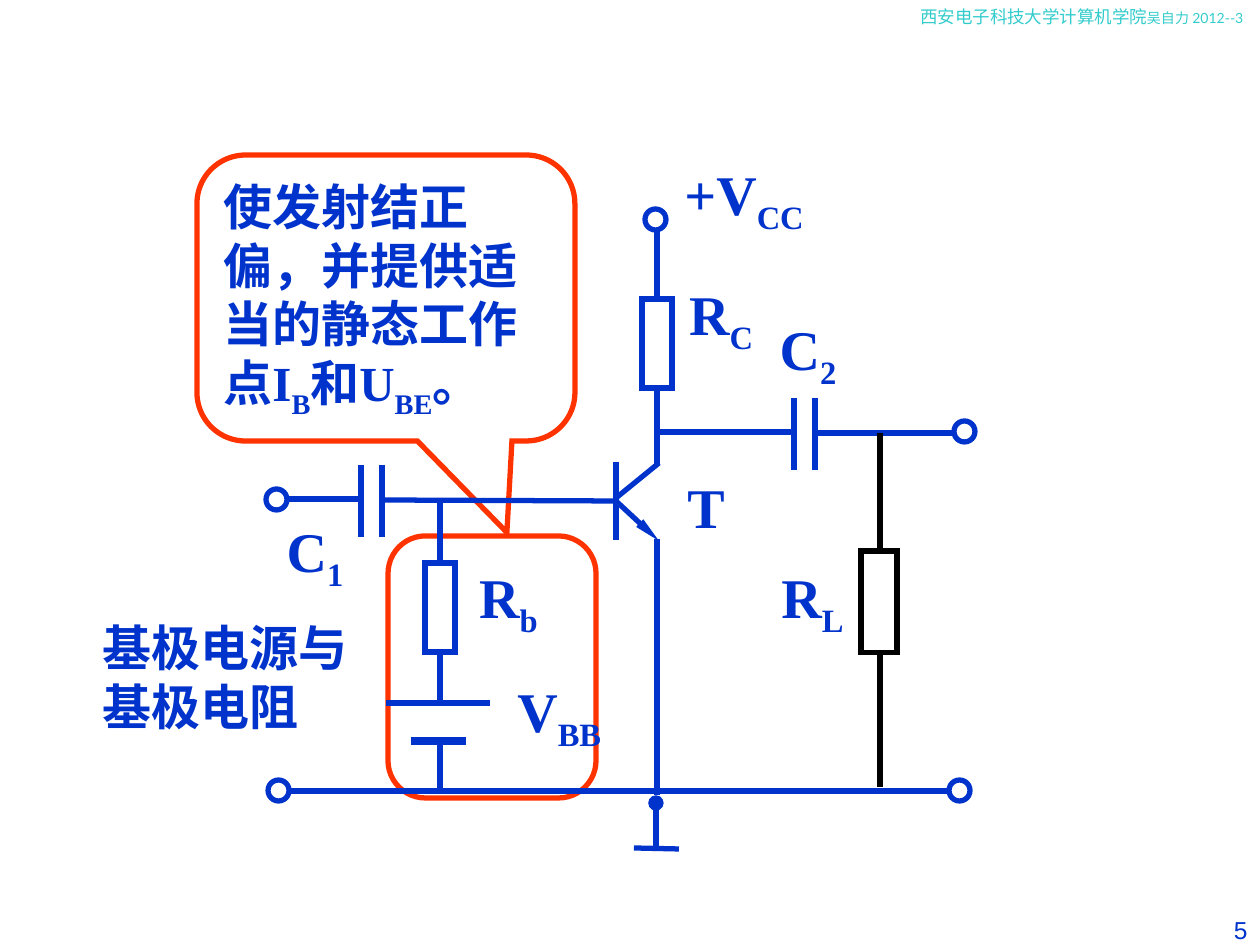
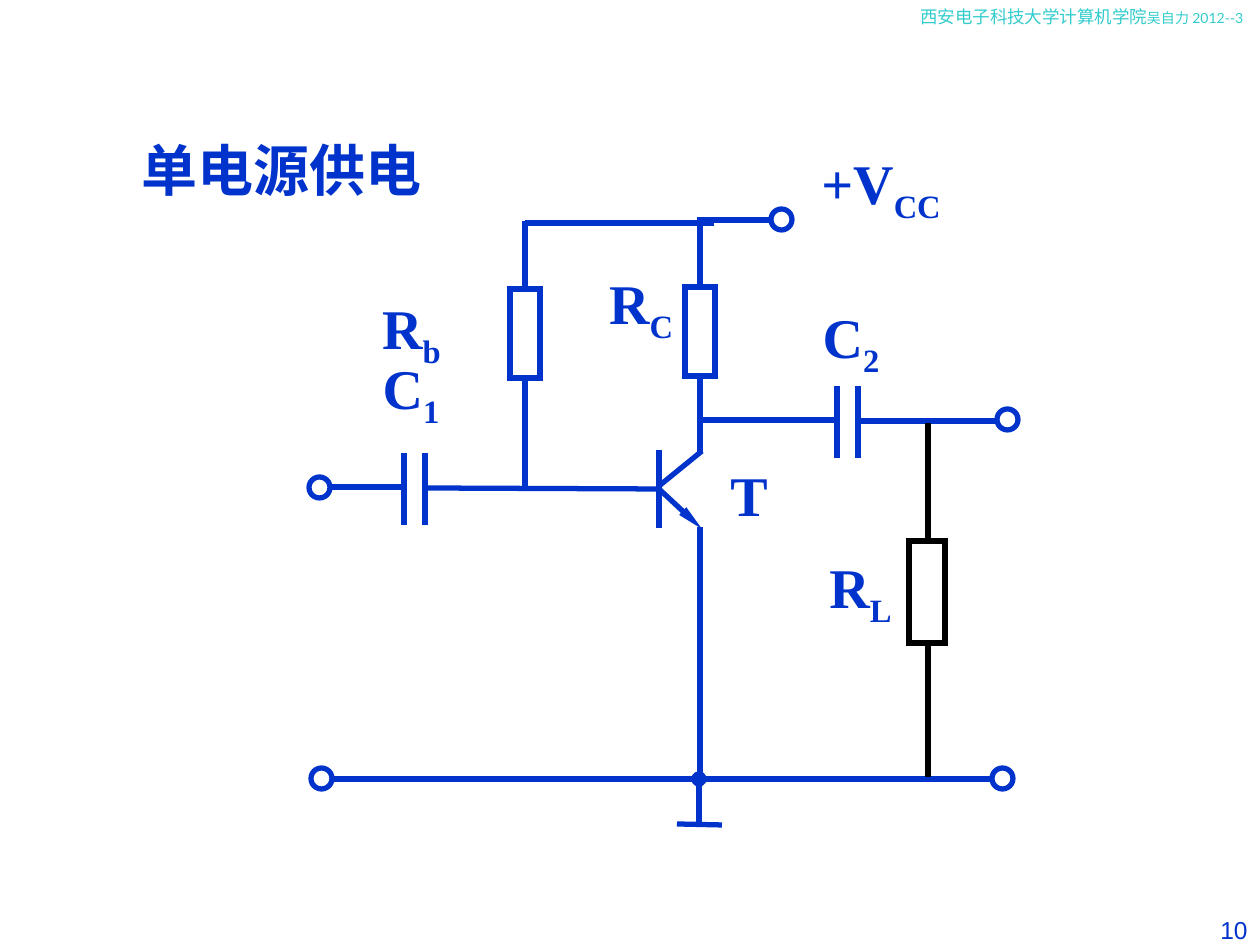
import pptx
import pptx.util
import pptx.dml.color
import pptx.enum.shapes
import pptx.enum.text
import pptx.oxml.ns
from lxml import etree

PX = 914400 / 126
COLORS = {"circuit": "0033CC", "load": "000000", "callout": "FF3300",
          "header": "33CCCC", "paper": "FFFFFF"}
SERIF = "Times New Roman"
SHAPES = pptx.enum.shapes.MSO_SHAPE
ALIGN = pptx.enum.text.PP_ALIGN
ANCHOR = pptx.enum.text.MSO_ANCHOR
TOP, BOTTOM = 0, 2
TERMINAL = 21
LABEL_HEIGHT = 89
RESISTOR_SIZE = (30, 89)
LOAD_SIZE = (36, 102)


def px(value):
    return round(value * PX)


def rgb(name):
    return pptx.dml.color.RGBColor.from_string(COLORS[name])


def write(frame, spans, align=ALIGN.LEFT, color="circuit", bold=True, font=SERIF):
    paragraph = frame.paragraphs[0]
    paragraph.alignment = align
    paragraph._p.get_or_add_pPr().set("hangingPunct", "0")
    for text, size, lowered in spans:
        span = paragraph.add_run()
        span.text = text
        span.font.size = pptx.util.Pt(size)
        span.font.name = font
        span.font.bold = bold
        span.font.color.rgb = rgb(color)
        if lowered:
            span._r.get_or_add_rPr().set("baseline", "-25000")


def alternate(pieces, size):
    return [(text, size, index % 2 == 1) for index, text in enumerate(pieces)]


def add_text(page, area, spans, wrap=True, anchor=ANCHOR.TOP, grow=True, **style):
    box = page.shapes.add_textbox(*map(px, area))
    frame = box.text_frame
    frame.word_wrap = wrap
    frame.vertical_anchor = anchor
    if grow:
        frame.auto_size = pptx.enum.text.MSO_AUTO_SIZE.SHAPE_TO_FIT_TEXT
    write(frame, spans, **style)


def add_label(page, left, top, width, *pieces, height=LABEL_HEIGHT, align=ALIGN.CENTER):
    add_text(page, (left, top, width, height), alternate(pieces, 32),
             wrap=False, anchor=ANCHOR.MIDDLE, align=align)


def add_outline(page, kind, area, color="circuit", fill=None):
    shape = page.shapes.add_shape(kind, *map(px, area))
    shape.shadow.inherit = False
    shape.line.color.rgb = rgb(color)
    shape.line.width = pptx.util.Pt(3)
    etree.SubElement(shape.line._get_or_add_ln(), pptx.oxml.ns.qn("a:miter"), lim="800000")
    if fill:
        shape.fill.solid()
        shape.fill.fore_color.rgb = rgb(fill)
    else:
        shape.fill.background()
    return shape


def add_wire(page, x1, y1, x2, y2, color="circuit", width=3, arrow=False):
    wire = page.shapes.add_connector(
        pptx.enum.shapes.MSO_CONNECTOR.STRAIGHT, px(x1), px(y1), px(x2), px(y2))
    wire.line.color.rgb = rgb(color)
    wire.line.width = pptx.util.Pt(width)
    if arrow:
        etree.SubElement(wire.line._get_or_add_ln(), pptx.oxml.ns.qn("a:tailEnd"),
                         type="triangle", w="sm", len="lg")
    etree.SubElement(wire._element.spPr, pptx.oxml.ns.qn("a:effectLst"))
    return wire


def add_terminal(page, left, top):
    add_outline(page, SHAPES.OVAL, (left, top, TERMINAL, TERMINAL))


def add_resistor(page, center, top, lead_top, lead_bottom):
    width, height = RESISTOR_SIZE
    body = add_outline(page, SHAPES.RECTANGLE, (center - width // 2, top, width, height),
                       fill="paper")
    upper = add_wire(page, center, lead_top, center, top)
    upper.end_connect(body, TOP)
    lower = add_wire(page, center, top + height, center, lead_bottom)
    lower.begin_connect(body, BOTTOM)


def add_capacitor(page, left, top):
    for x in (left, left + 21):
        add_wire(page, x, top, x, top + 72)


def add_transistor(page, x, y):
    add_wire(page, x, y - 39, x, y + 39)
    add_wire(page, x, y - 3, x + 43, y - 38)
    add_wire(page, x, y, x + 43, y + 40, arrow=True)


def add_ground(page, x, y):
    add_outline(page, SHAPES.OVAL, (x - 5, y - 5, 10, 10), fill="circuit")
    add_wire(page, x, y + 3, x, y + 47)
    add_wire(page, x - 22, y + 45, x + 23, y + 46)


def add_load(page, center, top):
    width, height = LOAD_SIZE
    add_wire(page, center, top - 118, center, top + 236, "load")
    add_outline(page, SHAPES.RECTANGLE, (center - width // 2 - 1, top, width, height),
                "load", "paper")
    add_text(page, (center - 111, top + 5, 107, LABEL_HEIGHT), alternate(("R", "L"), 32))


def add_amplifier(page, dx, dy, supply_y):
    for x, y in ((266, 489), (268, 780), (949, 780), (954, 421)):
        add_terminal(page, x + dx, y + dy)
    for x1, y1, x2, y2 in ((289, 499, 360, 499), (382, 500, 616, 501),
                           (657, 432, 794, 432), (815, 433, 954, 433),
                           (290, 791, 949, 791), (657, 539, 657, 795)):
        add_wire(page, x1 + dx, y1 + dy, x2 + dx, y2 + dy)
    add_capacitor(page, 361 + dx, 465 + dy)
    add_capacitor(page, 794 + dx, 398 + dy)
    add_transistor(page, 616 + dx, 501 + dy)
    add_resistor(page, 657 + dx, 299 + dy, supply_y, 465 + dy)
    add_label(page, 675 + dx, 466 + dy, 62, "T", height=81)
    add_label(page, 767 + dx, 308 + dy, 82, "C", "2")


def add_bias_callout(page):
    frame_box = add_outline(page, SHAPES.ROUNDED_RECTANGLE, (388, 536, 208, 262), "callout")
    frame_box.adjustments[0] = 0.18
    callout = add_outline(page, SHAPES.ROUNDED_RECTANGULAR_CALLOUT,
                          (197, 155, 378, 286), "callout", "paper")
    for index, value in enumerate((0.32, 0.82, 0.17)):
        callout.adjustments[index] = value
    callout.text_frame.word_wrap = True
    callout.text_frame.vertical_anchor = ANCHOR.MIDDLE
    write(callout.text_frame, alternate(
        ("使发射结正偏，并提供适当的静态工作点I", "B", "和U", "BE", "。"), 28))


def add_battery(page, x, top, bottom):
    add_wire(page, x - 54, top, x + 50, top)
    add_wire(page, x - 29, top + 38, x + 26, top + 38, width=4.5)
    add_wire(page, x, top + 38, x, bottom)


def new_page(deck, number):
    page = deck.slides.add_slide(deck.slide_layouts[6])
    add_text(page, (908, 0, 353, 50),
             [("西安电子科技大学计算机学院", 10, False), ("吴自力 2012--3", 8, False)],
             color="header", bold=False, font="Lato")
    add_text(page, (1186, 909, 74, 35), [(str(number), 14, False)], grow=False,
             align=ALIGN.RIGHT, bold=False, font="Arial")
    return page


def build_two_supplies(deck):
    page = new_page(deck, 5)
    add_bias_callout(page)
    add_amplifier(page, 0, 0, 231)
    add_terminal(page, 645, 209)
    add_resistor(page, 440, 563, 499, 703)
    add_battery(page, 440, 703, 791)
    add_ground(page, 656, 803)
    add_load(page, 880, 551)
    add_label(page, 459, 556, 99, "R", "b")
    add_label(page, 672, 153, 144, "+V", "CC", align=ALIGN.LEFT)
    add_label(page, 505, 670, 130, "V", "BB", align=ALIGN.LEFT)
    add_label(page, 669, 273, 104, "R", "C")
    add_label(page, 274, 510, 82, "C", "1")
    add_text(page, (90, 611, 277, 131), [("基极电源与基极电阻", 28, False)])


def build_single_supply(deck):
    page = new_page(deck, 10)
    add_label(page, 119, 129, 325, "单电源供电", height=81)
    add_amplifier(page, 43, -12, 219)
    add_terminal(page, 771, 209)
    add_resistor(page, 525, 289, 221, 488)
    add_wire(page, 525, 223, 714, 223)
    add_wire(page, 697, 220, 770, 220)
    add_ground(page, 699, 779)
    add_load(page, 928, 541)
    add_label(page, 362, 287, 99, "R", "b")
    add_label(page, 809, 142, 144, "+V", "CC", align=ALIGN.LEFT)
    add_label(page, 589, 262, 104, "R", "C")
    add_label(page, 370, 347, 82, "C", "1")


def main():
    deck = pptx.Presentation()
    deck.slide_width = px(1260)
    deck.slide_height = px(945)
    build_two_supplies(deck)
    build_single_supply(deck)
    deck.save("out.pptx")


if __name__ == "__main__":
    main()
